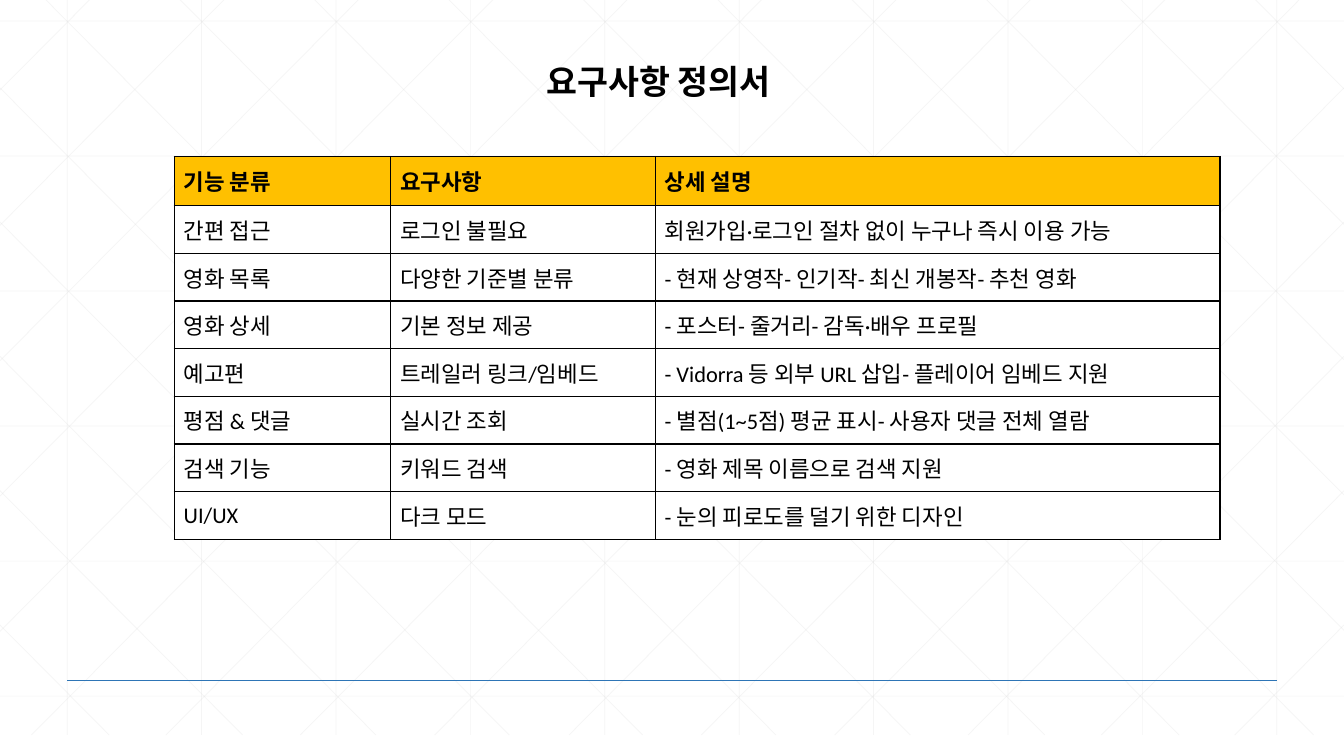
from lxml import etree
from pptx import Presentation
from pptx import util as u
from pptx.dml.color import RGBColor
from pptx.enum import shapes, text
from pptx.oxml import ns

PX = u.Inches(1) // 96
SLIDE_WIDTH, SLIDE_HEIGHT = 1280, 720
FONT = "Calibri"

BLACK = RGBColor(0x00, 0x00, 0x00)
WHITE = RGBColor(0xFF, 0xFF, 0xFF)
AMBER = RGBColor(0xFF, 0xC0, 0x00)
BLUE = RGBColor(0x2E, 0x75, 0xB6)
GRID_GREY = RGBColor(0xD9, 0xD9, 0xD9)

COLUMN_WIDTHS = [206, 252, 538]
HEADER_HEIGHT = 47
REQUIREMENTS = [
    ("기능 분류", "요구사항", "상세 설명"),
    ("간편 접근", "로그인 불필요", "회원가입·로그인 절차 없이 누구나 즉시 이용 가능"),
    ("영화 목록", "다양한 기준별 분류", "- 현재 상영작- 인기작- 최신 개봉작- 추천 영화"),
    ("영화 상세", "기본 정보 제공", "- 포스터- 줄거리- 감독·배우 프로필"),
    ("예고편", "트레일러 링크/임베드", "- Vidorra 등 외부 URL 삽입- 플레이어 임베드 지원"),
    ("평점 & 댓글", "실시간 조회", "- 별점(1~5점) 평균 표시- 사용자 댓글 전체 열람"),
    ("검색 기능", "키워드 검색", "- 영화 제목 이름으로 검색 지원"),
    ("UI/UX", "다크 모드", "- 눈의 피로도를 덜기 위한 디자인"),
]


def add_line(container, start, end, color, width, opacity=100):
    points = [round(value * PX) for value in (*start, *end)]
    line = container.add_connector(shapes.MSO_CONNECTOR.STRAIGHT, *points)
    line.line.color.rgb = color
    line.line.width = u.Pt(width)
    properties = line._element.spPr
    if opacity < 100:
        for color_node in properties.iter(ns.qn("a:srgbClr")):
            etree.SubElement(color_node, ns.qn("a:alpha"), val=str(opacity * 1000))
    etree.SubElement(properties, ns.qn("a:effectLst"))


def add_background_grid(slide, left, top, width, height):
    grid = slide.shapes.add_group_shape().shapes
    right, bottom = left + width, top + height
    pitch = 128
    diagonal_run = 715

    def grid_line(start, end):
        add_line(grid, start, end, GRID_GREY, 0.5, 25)

    def diagonal(x, y, x_step, y_step):
        room = right - x if x_step > 0 else x - left
        run = min(diagonal_run, room)
        rise = run * height / diagonal_run
        grid_line((x, y), (x + x_step * run, y + y_step * rise))

    # Upright and level lines
    for i in range(10):
        x = left + 64 + i * pitch
        grid_line((x, top), (x, bottom))
    for i in range(6):
        y = top + 40 + i * 643 / 5
        grid_line((left, y), (right, y))

    # Diagonals, cut off at the sides
    for i in range(10):
        diagonal(left + 24 + i * pitch, top, 1, 1)
        diagonal(right - 23 - i * pitch, top, -1, 1)
    for i in range(5):
        diagonal(left + 104 + i * 127, bottom, -1, -1)
        diagonal(left + 668 + i * 127, bottom, 1, -1)


def add_title(slide, left, top, width, height):
    box = slide.shapes.add_textbox(left * PX, top * PX, width * PX, height * PX)
    frame = box.text_frame
    frame.word_wrap = True
    frame.vertical_anchor = text.MSO_ANCHOR.MIDDLE
    paragraph = frame.paragraphs[0]
    paragraph.text = "요구사항 정의서"
    paragraph.line_spacing = 0.9
    style_font(paragraph.font, 24, True)


def style_font(font, size, bold):
    font.name = FONT
    font.size = u.Pt(size)
    font.bold = bold
    font.color.rgb = BLACK


def add_cell_borders(cell):
    properties = cell._tc.get_or_add_tcPr()
    for side in ("a:lnL", "a:lnR", "a:lnT", "a:lnB"):
        border = etree.SubElement(properties, ns.qn(side), w=str(u.Pt(1)))
        fill = etree.SubElement(border, ns.qn("a:solidFill"))
        etree.SubElement(fill, ns.qn("a:srgbClr"), val=str(BLACK))


def fill_cell(cell, wording, is_header):
    cell.text = wording
    cell.vertical_anchor = text.MSO_ANCHOR.MIDDLE
    cell.margin_left = cell.margin_right = 9 * PX
    cell.margin_top = cell.margin_bottom = 5 * PX
    add_cell_borders(cell)
    cell.fill.solid()
    cell.fill.fore_color.rgb = AMBER if is_header else WHITE
    style_font(cell.text_frame.paragraphs[0].font, 16, is_header)


def add_requirements_table(slide, left, top, height):
    row_count = len(REQUIREMENTS)
    table = slide.shapes.add_table(
        row_count, len(COLUMN_WIDTHS),
        left * PX, top * PX, sum(COLUMN_WIDTHS) * PX, height * PX,
    ).table
    for column, width in zip(table.columns, COLUMN_WIDTHS):
        column.width = width * PX
    body_height = (height - HEADER_HEIGHT) * PX // (row_count - 1)
    for r, wordings in enumerate(REQUIREMENTS):
        table.rows[r].height = body_height if r else HEADER_HEIGHT * PX
        for c, wording in enumerate(wordings):
            fill_cell(table.cell(r, c), wording, r == 0)


def main():
    presentation = Presentation()
    presentation.slide_width = SLIDE_WIDTH * PX
    presentation.slide_height = SLIDE_HEIGHT * PX
    slide = presentation.slides.add_slide(presentation.slide_layouts[6])

    add_background_grid(slide, 0, -20, SLIDE_WIDTH, SLIDE_HEIGHT)
    # Footer rule
    add_line(slide.shapes, (64, 648), (1216, 648), BLUE, 1)
    add_title(slide, 511, 10, 348, 139)
    add_requirements_table(slide, 166, 149, 365)

    presentation.save("out.pptx")


if __name__ == "__main__":
    main()
